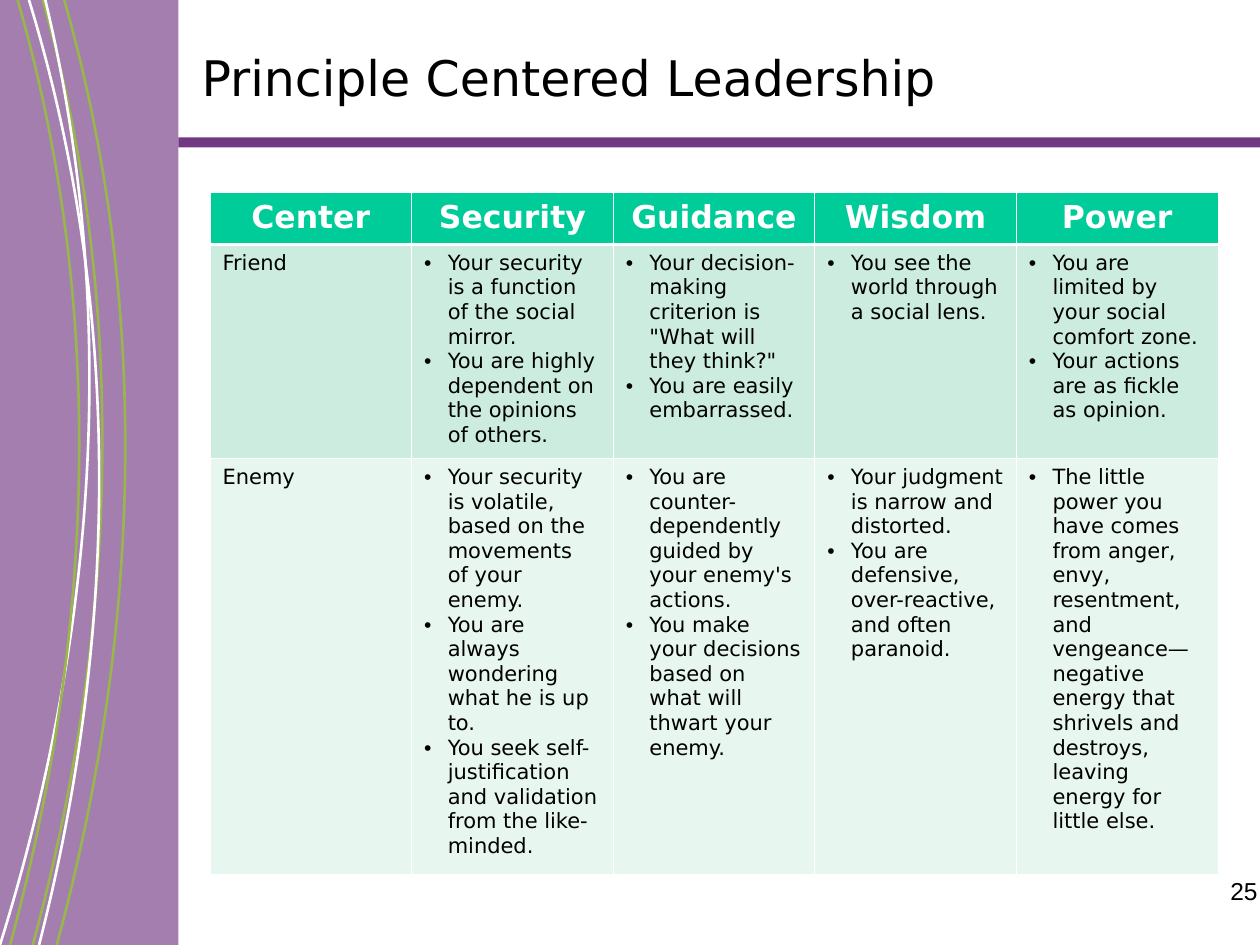
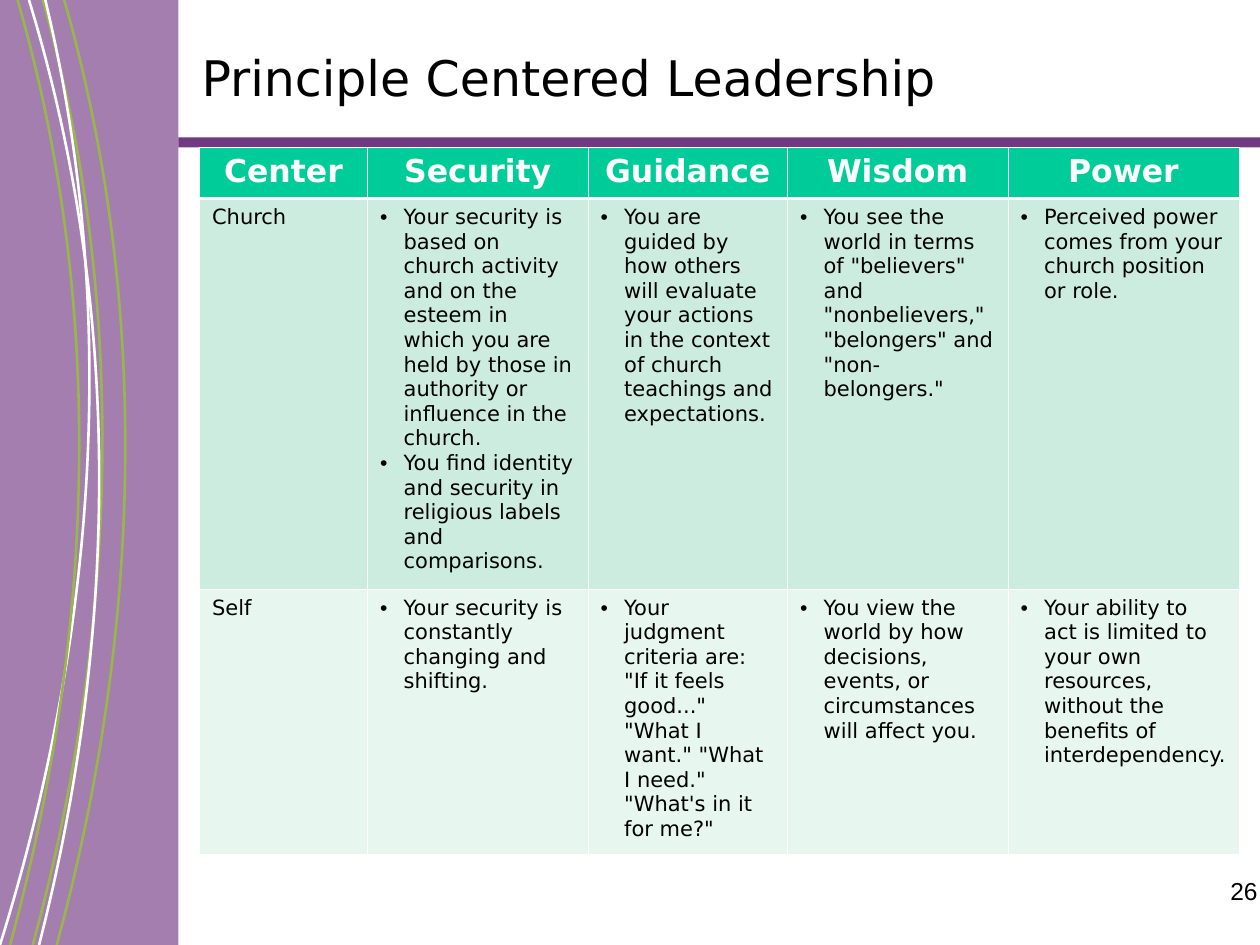
from lxml import etree
from pptx import Presentation
from pptx.dml.color import RGBColor
from pptx.enum.shapes import MSO_SHAPE
from pptx.enum.text import MSO_ANCHOR, MSO_AUTO_SIZE, PP_ALIGN
from pptx.oxml.ns import qn
from pptx.util import Inches, Pt

RECTANGLE = MSO_SHAPE.RECTANGLE
MIDDLE = MSO_ANCHOR.MIDDLE
NO_AUTOFIT = MSO_AUTO_SIZE.NONE
LEFT, CENTER, RIGHT = PP_ALIGN.LEFT, PP_ALIGN.CENTER, PP_ALIGN.RIGHT

PURPLE, GREEN, OFF_WHITE = "723983", "99B64C", "FFFFFE"
BLACK, WHITE = "000000", "FFFFFF"
HEADER_FILL, ROW_FILLS = "00CC99", ["CBECDE", "E7F6EF"]
MAIN_FONT, NUMBER_FONT = "DejaVu Sans", "Arial"
TITLE_ONLY = 5
GRID = 1 / 12
SIDE_WIDTH = 17 * GRID
BULLET_INDENT = Inches(3 / 16)
THIN, THICK = 0.45, 1.47
CURVES = [
    (GREEN, [(0.34, 0), (1.15, 2.88), (0.78, 5.59), (0.26, 7.5)]),
    (GREEN, [(0.45, 7.5), (0.97, 5.59), (1.33, 2.88), (0.51, 0)]),
    (OFF_WHITE, [(0.23, 0), (1.11, 2.88), (0.8, 5.59), (0.31, 7.5)]),
    (OFF_WHITE, [(0.36, 0), (1.06, 2.91), (0.59, 5.62), (0, 7.5)]),
    (GREEN, [(0.14, 0), (0.97, 2.88), (0.6, 5.59), (0.08, 7.5)]),
]

TITLE = "Principle Centered Leadership"
HEADINGS = ["Center", "Security", "Guidance", "Wisdom", "Power"]
PAGES = [
    {
        "number": "25",
        "position": (20 * GRID, 1.53),
        "columns": [1.6] * 5,
        "heights": [0.41, 1.7, 3.3],
        "centers": [
            ("Friend", [
                ["Your security is a function of the social mirror.",
                 "You are highly dependent on the opinions of others."],
                ['Your decision-making criterion is "What will they think?"',
                 "You are easily embarrassed."],
                ["You see the world through a social lens."],
                ["You are limited by your social comfort zone.",
                 "Your actions are as fickle as opinion."],
            ]),
            ("Enemy", [
                ["Your security is volatile, based on the movements  of your enemy.",
                 "You are always wondering what he is up to.",
                 "You seek self-justification and validation from the like-minded."],
                ["You are counter-dependently guided by your enemy's actions.",
                 "You make your decisions based on what will thwart your enemy."],
                ["Your judgment is narrow and distorted.",
                 "You are defensive, over-reactive, and often paranoid."],
                ["The little power you have comes from anger, envy, resentment, and "
                 "vengeance—negative energy that shrivels and destroys, leaving "
                 "energy for little else."],
            ]),
        ],
    },
    {
        "number": "26",
        "position": (19 * GRID, 14 * GRID),
        "columns": [units * GRID for units in (16, 21, 19, 21, 22)],
        "heights": [0.41, 3.1, 2.1],
        "centers": [
            ("Church", [
                ["Your security is based on church activity and on the esteem in which "
                 "you are held by those in authority or influence in the church.",
                 "You find identity and security in religious labels and comparisons."],
                ["You are guided by how others will evaluate your actions in the "
                 "context of church teachings and expectations."],
                ['You see the world in terms of "believers" and "nonbelievers," '
                 '"belongers" and "non-belongers."'],
                ["Perceived power comes from your church position or role."],
            ]),
            ("Self", [
                ["Your security is constantly changing and shifting."],
                ['Your judgment criteria are: "If it feels good..." "What I want." '
                 '"What I need." "What\'s in it for me?"'],
                ["You view the world by how decisions, events, or circumstances "
                 "will affect you."],
                ["Your ability to act is limited to your own resources, without the "
                 "benefits of interdependency."],
            ]),
        ],
    },
]


def color(value):
    return RGBColor.from_string(value)


class Deck:
    def __init__(self):
        self.presentation = Presentation()
        self.presentation.slide_width = Inches(10)
        self.presentation.slide_height = Inches(7.5)
        self.layout = self.presentation.slide_layouts[TITLE_ONLY]
        self.slide = None

    def new_slide(self, number):
        self.slide = self.presentation.slides.add_slide(self.layout)
        self.title(TITLE)
        self.page_number(number)

    def decorate_layout(self):
        self.band(SIDE_WIDTH, 1.09, 10 - SIDE_WIDTH, 0.08)
        self.band(0, 0, SIDE_WIDTH, 7.5, opacity=65)
        for line_color, points in CURVES:
            self.curve(line_color, points)

    def move_to_layout(self, shape):
        self.layout.shapes._spTree.append(shape._element)

    def band(self, left, top, width, height, opacity=100):
        shape = self.slide.shapes.add_shape(
            RECTANGLE, Inches(left), Inches(top), Inches(width), Inches(height))
        shape.shadow.inherit = False
        shape.line.fill.background()
        shape.fill.solid()
        shape.fill.fore_color.rgb = color(PURPLE)
        if opacity < 100:
            fill_color = shape.fill._xPr.find(".//" + qn("a:srgbClr"))
            etree.SubElement(fill_color, qn("a:alpha"), val=str(opacity * 1000))
        self.move_to_layout(shape)

    def curve(self, line_color, points):
        start, *controls = [(Inches(x), Inches(y)) for x, y in points]
        builder = self.slide.shapes.build_freeform(*start)
        builder.add_line_segments(controls, close=False)
        shape = builder.convert_to_shape()
        outline = shape._element.find(".//" + qn("a:path"))
        segments = outline.findall(qn("a:lnTo"))
        bezier = etree.SubElement(outline, qn("a:cubicBezTo"))
        for segment in segments:
            bezier.append(segment[0])
            outline.remove(segment)
        shape.shadow.inherit = False
        shape.fill.background()
        shape.line.color.rgb = color(line_color)
        shape.line.width = Pt(1.5)
        self.move_to_layout(shape)

    def style(self, paragraph, size, font_color=BLACK, bold=False, align=LEFT, name=MAIN_FONT):
        paragraph.alignment = align
        font = paragraph.font
        font.name, font.size, font.bold = name, Pt(size), bold
        font.color.rgb = color(font_color)

    def title(self, text):
        shape = self.slide.shapes.title
        shape.left, shape.top = Inches(1.5), Inches(0.17)
        shape.width, shape.height = Inches(8.5), Inches(0.88)
        frame = shape.text_frame
        frame.text = text
        frame.auto_size = NO_AUTOFIT
        frame.vertical_anchor = MIDDLE
        self.style(frame.paragraphs[0], 28)

    def page_number(self, number):
        box = self.slide.shapes.add_textbox(
            Inches(7.75), Inches(6.9), Inches(2.33), Inches(0.52))
        frame = box.text_frame
        frame.word_wrap = True
        frame.text = number
        self.style(frame.paragraphs[0], 14, align=RIGHT, name=NUMBER_FONT)

    def bullet(self, paragraph):
        properties = paragraph._p.get_or_add_pPr()
        properties.set("marL", str(BULLET_INDENT))
        properties.set("indent", str(-BULLET_INDENT))
        bullet_color = etree.SubElement(properties, qn("a:buClr"))
        etree.SubElement(bullet_color, qn("a:srgbClr"), val=BLACK)
        etree.SubElement(properties, qn("a:buFont"), typeface=NUMBER_FONT)
        etree.SubElement(properties, qn("a:buChar"), char="•")

    def borders(self, cell, top, bottom):
        properties = cell._tc.get_or_add_tcPr()
        for side, width in (("L", THIN), ("R", THIN), ("T", top), ("B", bottom)):
            line = etree.SubElement(properties, qn("a:ln" + side), w=str(Pt(width)))
            fill = etree.SubElement(line, qn("a:solidFill"))
            etree.SubElement(fill, qn("a:srgbClr"), val=WHITE)

    def cell(self, cell, texts, fill, top=THIN, bottom=THIN, bulleted=False, **style):
        self.borders(cell, top, bottom)
        cell.fill.solid()
        cell.fill.fore_color.rgb = color(fill)
        cell.text = "\n".join(texts)
        for paragraph in cell.text_frame.paragraphs:
            if bulleted:
                self.bullet(paragraph)
            self.style(paragraph, **style)

    def center_table(self, position, columns, heights, centers):
        left, top = position
        table = self.slide.shapes.add_table(
            len(heights), len(columns), Inches(left), Inches(top),
            Inches(sum(columns)), Inches(sum(heights))).table
        for column, width in zip(table.columns, columns):
            column.width = Inches(width)
        for row, height in zip(table.rows, heights):
            row.height = Inches(height)
        for index, heading in enumerate(HEADINGS):
            self.cell(table.cell(0, index), [heading], HEADER_FILL, bottom=THICK,
                      size=18, font_color=WHITE, bold=True, align=CENTER)
        for row, ((center, effects), fill) in enumerate(zip(centers, ROW_FILLS), 1):
            for index, texts in enumerate([[center], *effects]):
                self.cell(table.cell(row, index), texts, fill,
                          top=THICK if row == 1 else THIN, bulleted=index > 0, size=12)


def main():
    deck = Deck()
    for page in PAGES:
        deck.new_slide(page["number"])
        deck.center_table(page["position"], page["columns"], page["heights"], page["centers"])
    deck.decorate_layout()
    deck.presentation.save("out.pptx")


if __name__ == "__main__":
    main()
